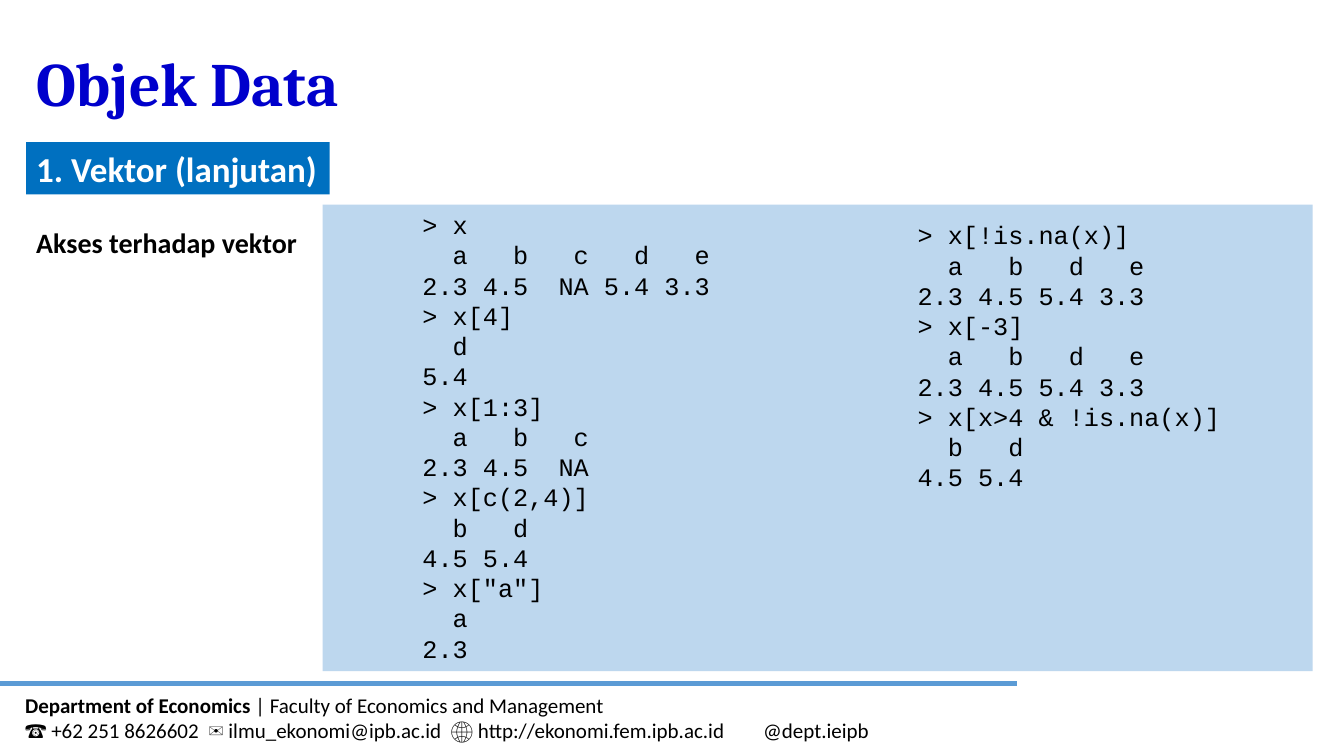
from lxml.etree import SubElement
from pptx import Presentation
from pptx.dml.color import RGBColor
from pptx.enum.shapes import MSO_CONNECTOR, MSO_SHAPE
from pptx.enum.text import MSO_ANCHOR, PP_ALIGN
from pptx.oxml.ns import qn
from pptx.util import Pt

EMU_PER_PX = 9144  # 100 px to the inch
COLOURS = {
    "text": "000000",
    "title": "0000CC",
    "heading": "FFFFFF",
    "heading_fill": "0070C0",
    "code_fill": "BDD7EE",
    "rule": "5B9BD5",
}

ACCESS_BY_INDEX = '''> x
  a   b   c   d   e
2.3 4.5  NA 5.4 3.3
> x[4]
  d
5.4
> x[1:3]
  a   b   c
2.3 4.5  NA
> x[c(2,4)]
  b   d
4.5 5.4
> x["a"]
  a
2.3'''

ACCESS_BY_CONDITION = '''> x[!is.na(x)]
  a   b   d   e
2.3 4.5 5.4 3.3
> x[-3]
  a   b   d   e
2.3 4.5 5.4 3.3
> x[x>4 & !is.na(x)]
  b   d
4.5 5.4'''


def px(length):
    return length * EMU_PER_PX


def colour(name):
    return RGBColor.from_string(COLOURS[name])


class SlideBuilder:
    def __init__(self, slide, font="Calibri"):
        self.shapes = slide.shapes
        self.font = font

    def style(self, run, size, ink="text", bold=False, font=None):
        run.font.name = font or self.font
        run.font.size = Pt(size)
        run.font.bold = bold
        run.font.color.rgb = colour(ink)

    def rule(self, x1, y1, x2, y2, width):
        line = self.shapes.add_connector(
            MSO_CONNECTOR.STRAIGHT, px(x1), px(y1), px(x2), px(y2))
        line.line.color.rgb = colour("rule")
        line.line.width = Pt(width)
        SubElement(line._element.spPr, qn("a:effectLst"))

    def box(self, bounds, fill=None, wrap=True, anchor=MSO_ANCHOR.TOP):
        """Add a text box, or a filled rectangle when a fill is given."""
        place = [px(length) for length in bounds]
        if fill:
            box = self.shapes.add_shape(MSO_SHAPE.RECTANGLE, *place)
            box.shadow.inherit = False
            box.fill.solid()
            box.fill.fore_color.rgb = colour(fill)
            box.line.fill.background()
        else:
            box = self.shapes.add_textbox(*place)
        frame = box.text_frame
        frame.word_wrap = wrap
        frame.vertical_anchor = anchor
        return frame

    def text(self, bounds, words, size, fill=None, wrap=True,
             anchor=MSO_ANCHOR.TOP, **look):
        frame = self.box(bounds, fill, wrap, anchor)
        frame.text = words
        for paragraph in frame.paragraphs:
            paragraph.alignment = PP_ALIGN.LEFT
            for run in paragraph.runs:
                self.style(run, size, **look)
        return frame

    def code(self, bounds, listing, fill=None):
        frame = self.text(bounds, listing, 18, fill, font="Courier New")
        frame.margin_left = px(99)

    def rich_lines(self, bounds, lines, size, tabs):
        """Each line is a list of (words, bold) pairs."""
        frame = self.box(bounds)
        for number, line in enumerate(lines):
            paragraph = frame.add_paragraph() if number else frame.paragraphs[0]
            tab_list = SubElement(paragraph._p.get_or_add_pPr(), qn("a:tabLst"))
            for tab in tabs:
                SubElement(tab_list, qn("a:tab"), pos=str(px(tab)), algn="l")
            for words, bold in line:
                run = paragraph.add_run()
                run.text = words
                self.style(run, size, bold=bold)


def main():
    deck = Presentation()
    deck.slide_width, deck.slide_height = px(1333), px(750)
    page = SlideBuilder(deck.slides.add_slide(deck.slide_layouts[6]))

    # Footer
    page.rule(0, 678, 1009, 678, 3)
    page.rich_lines((15, 682, 978, 61), [
        [("Department of Economics ", True),
         ("| Faculty of Economics and Management", False)],
        [("☎ +62 251 8626602\t✉ ilmu_ekonomi@ipb.ac.id\t", False),
         ("🌐 ", True),
         ("http://ekonomi.fem.ipb.ac.id\t@dept.ieipb", False)],
    ], 15, tabs=(182, 422, 732))

    # Title and headings
    page.text((26, 141, 301, 52), "1. Vektor (lanjutan)", 25,
              fill="heading_fill", wrap=False, ink="heading", bold=True)
    title = page.text((26, 13, 1224, 145), "Objek Data", 44,
                      anchor=MSO_ANCHOR.MIDDLE, ink="title", bold=True,
                      font="Cambria")
    title.paragraphs[0].line_spacing = 0.9
    page.text((26, 219, 281, 44), "Akses terhadap vektor", 20,
              wrap=False, bold=True)

    # Code listings
    page.code((320, 203, 982, 463), ACCESS_BY_INDEX, fill="code_fill")
    page.code((811, 213, 542, 283), ACCESS_BY_CONDITION)

    deck.save("out.pptx")


if __name__ == "__main__":
    main()
